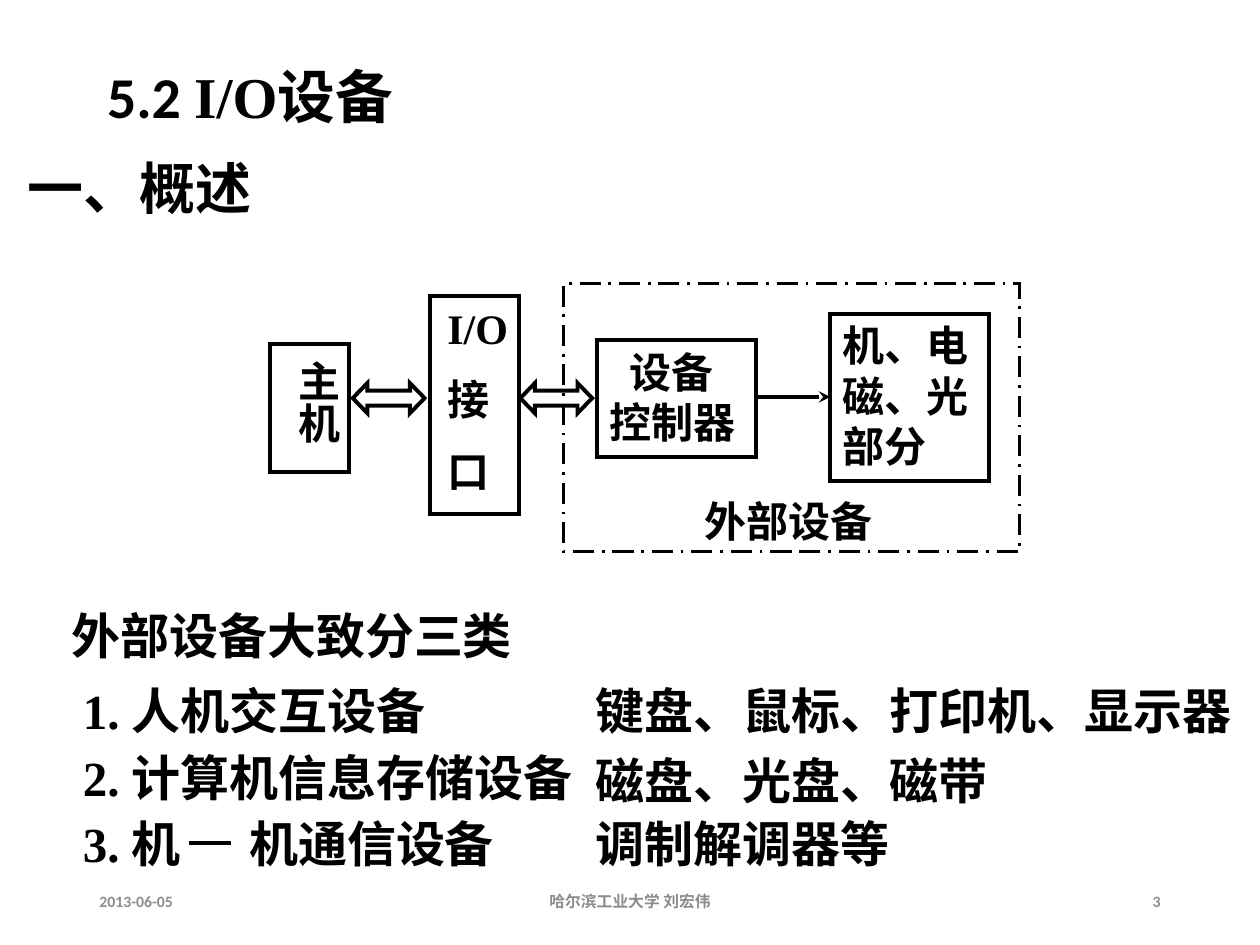
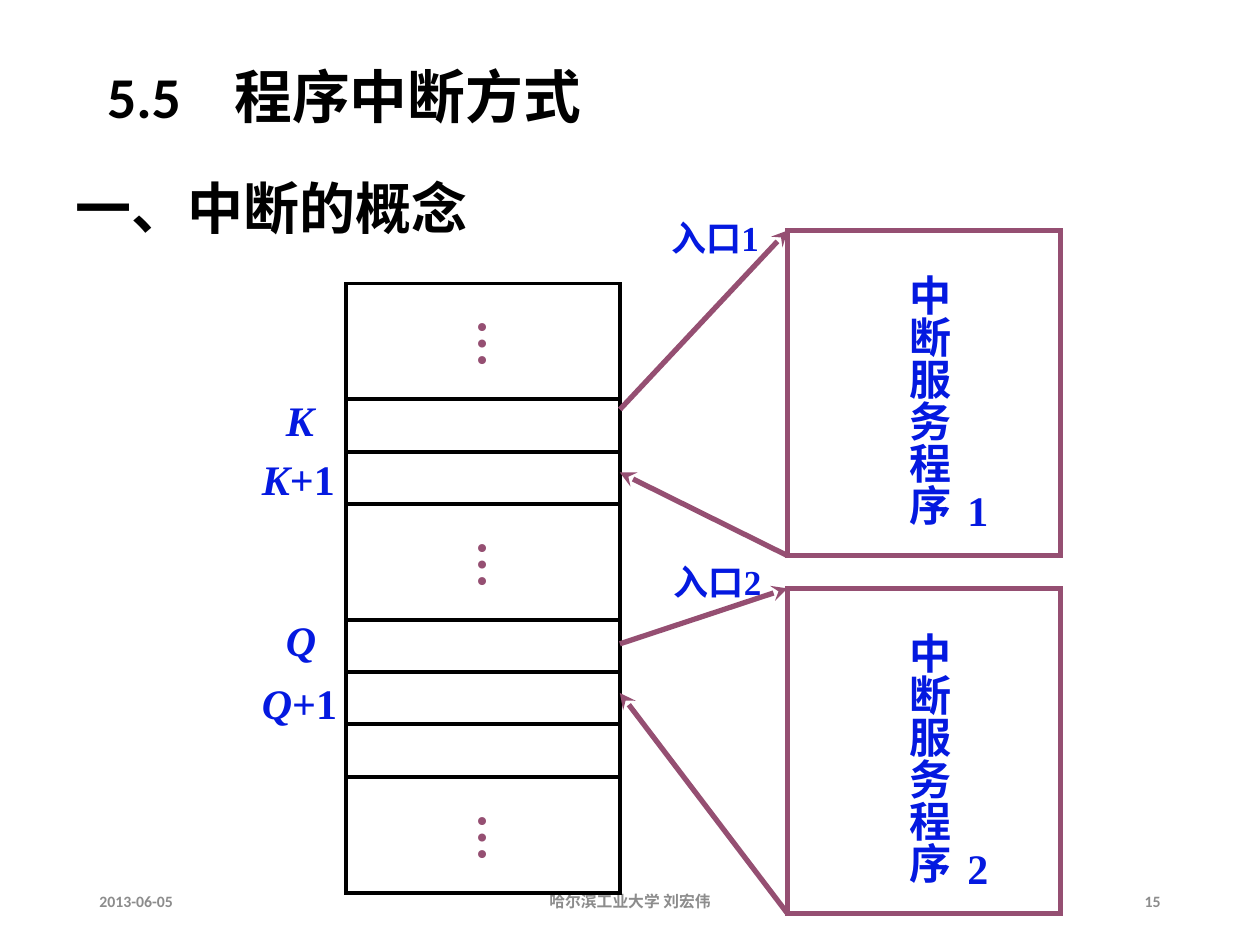
from pptx import Presentation
from pptx.dml.color import RGBColor
from pptx.enum.dml import MSO_LINE_DASH_STYLE as Dash
from pptx.enum.shapes import MSO_CONNECTOR as Connector, MSO_SHAPE as Shape
from pptx.enum.text import MSO_ANCHOR as Anchor, MSO_AUTO_SIZE as AutoSize, PP_ALIGN as Align
from pptx.oxml.ns import qn
from pptx.util import Inches, Pt
from lxml.etree import SubElement

BLACK = RGBColor(0x00, 0x00, 0x00)
GREY = RGBColor(0x8C, 0x8C, 0x8C)
BLUE = RGBColor(0x04, 0x19, 0xE0)
PLUM = RGBColor(0x95, 0x4F, 0x72)
SERIF = "Times New Roman"
SANS = "Calibri"
TITLE_ONLY = 5


def style_run(span, size, color=BLACK, font=SERIF, italic=False):
    """Give a run its bold face, size and colour."""
    span.font.name, span.font.size = font, Pt(size)
    span.font.bold, span.font.italic = True, italic
    span.font.color.rgb = color


def add_tab(para, offset):
    """Put one left tab stop in a paragraph."""
    stops = SubElement(para._p.get_or_add_pPr(), qn("a:tabLst"))
    SubElement(stops, qn("a:tab"), pos=str(Inches(offset)), algn="l")


def half_line_before(para):
    """Put half a line of space above a paragraph."""
    space = SubElement(para._p.get_or_add_pPr(), qn("a:spcBef"))
    SubElement(space, qn("a:spcPct"), val="50000")


def write(box, lines, size=24, color=BLACK, wrap=True, spaced=False, vertical=False):
    """Fill a box with left-aligned lines that start at its top."""
    frame = box.text_frame
    frame.text = "\n".join(lines)
    frame.word_wrap, frame.auto_size = wrap, AutoSize.SHAPE_TO_FIT_TEXT
    frame.vertical_anchor = Anchor.TOP
    if vertical:
        frame._txBody.bodyPr.set("vert", "eaVert")
    for para in frame.paragraphs:
        para.alignment = Align.LEFT
        if spaced:
            half_line_before(para)
        for span in para.runs:
            style_run(span, size, color)
    return frame


def add_text(page, left, top, width, height, text, **style):
    """Add a text box of one line and return its frame."""
    box = page.shapes.add_textbox(Inches(left), Inches(top), Inches(width), Inches(height))
    return write(box, [text], **style)


def add_outline(page, left, top, width, height, color=BLACK, weight=2.25, kind=Shape.RECTANGLE):
    """Add an unfilled preset shape with sharp corners."""
    shape = page.shapes.add_shape(kind, Inches(left), Inches(top), Inches(width), Inches(height))
    shape.shadow.inherit = False
    shape.fill.background()
    shape.line.color.rgb, shape.line.width = color, Pt(weight)
    SubElement(shape.line._get_or_add_ln(), qn("a:miter"), lim="800000")
    return shape


def add_line(page, start, end, color=BLACK, weight=2.25, arrow=True):
    """Add a straight line, with an arrowhead at its end if asked."""
    line = page.shapes.add_connector(Connector.STRAIGHT, *map(Inches, start + end))
    line.line.color.rgb, line.line.width = color, Pt(weight)
    SubElement(line._element.spPr, qn("a:effectLst"))
    if arrow:
        SubElement(line.line._get_or_add_ln(), qn("a:tailEnd"), type="stealth")


def add_footer(page, number):
    """Add the date, the lecturer and the page number."""
    for left, width, text, align in ((0.69, 2.25, "2013-06-05", Align.LEFT),
                                     (7.06, 2.25, number, Align.RIGHT),
                                     (3.31, 3.38, "哈尔滨工业大学 刘宏伟", Align.CENTER)):
        frame = add_text(page, left, 6.95, width, 0.4, text)
        frame.auto_size, frame.vertical_anchor = AutoSize.NONE, Anchor.MIDDLE
        para = frame.paragraphs[0]
        para.alignment = align
        style_run(para.runs[0], 9, GREY, SANS)


def add_page(deck, title_parts, number):
    """Add a page with its title, made of (text, font) parts, and its footer."""
    page = deck.slides.add_slide(deck.slide_layouts[TITLE_ONLY])
    title = page.shapes.title
    title.left, title.top, title.width, title.height = map(Inches, (0.75, 0.17, 8.5, 1.25))
    title.text_frame.vertical_anchor = Anchor.MIDDLE
    para = title.text_frame.paragraphs[0]
    para.alignment, para.line_spacing = Align.LEFT, 0.9
    for text, font in title_parts:
        span = para.add_run()
        span.text = text
        style_run(span, 33, font=font)
    add_footer(page, number)
    return page


def add_host_diagram(page, left, top):
    """Draw the chain from host to external device."""
    host = add_outline(page, left, top + 0.48, 0.63, 1.02)
    write(host, ["主机"], spaced=True, vertical=True).margin_top = Inches(0.13)
    controller = add_outline(page, left + 2.6, top + 0.45, 1.26, 0.93)
    first = write(controller, ["设备", "控制器"]).paragraphs[0]
    first._p.get_or_add_pPr().set("marL", str(Inches(0.16)))
    write(add_outline(page, left + 4.45, top + 0.24, 1.26, 1.33), ["机、电", "磁、光", "部分"])
    interface = add_outline(page, left + 1.27, top + 0.1, 0.71, 1.73)
    frame = write(interface, ["I/O", "接", "口"], spaced=True)
    frame.margin_left, frame.margin_right = Inches(0.14), Inches(0.06)
    device = add_outline(page, left + 2.33, top, 3.62, 2.13, weight=1.5)
    device.line.dash_style = Dash.LONG_DASH_DOT
    add_text(page, left + 3.35, top + 1.63, 2.28, 0.5, "外部设备", spaced=True)
    add_line(page, (left + 3.86, top + 0.9), (left + 4.45, top + 0.9))
    for offset in (0.66, 1.99):
        arrow = add_outline(page, left + offset, top + 0.79, 0.57, 0.24,
                            kind=Shape.LEFT_RIGHT_ARROW)
        arrow.adjustments[0], arrow.adjustments[1] = 0.5, 0.484


def add_device_classes(page, left, top):
    """List the three device classes with their examples."""
    rows = (("1. 人机交互设备", "键盘、鼠标、打印机、显示器", 0),
            ("2. 计算机信息存储设备", "磁盘、光盘、磁带", 0.03),
            ("3. 机\t机通信设备", "调制解调器等", 0))
    for index, (name, examples, drop) in enumerate(rows):
        row_top = top + 0.53 * index
        frame = add_text(page, left, row_top, 4.58, 0.57, name, size=28)
        if "\t" in name:
            add_tab(frame.paragraphs[0], 1.32)
            add_line(page, (left + 0.94, row_top + 0.28), (left + 1.27, row_top + 0.28),
                     arrow=False)
        add_text(page, left + 4.07, row_top + drop, 5.5, 0.57, examples, size=28)


def add_memory(page, left, top, width):
    """Stack the memory cells; tall cells hold an ellipsis."""
    tall, short = 0.92, 0.415
    for height in (tall, short, short, tall, short, short, short, tall):
        add_outline(page, left, top, width, height)
        if height == tall:
            add_text(page, left + 0.82, top + 0.19, 0.67, 0.49, "…", size=28, color=PLUM,
                     wrap=False, vertical=True)
        top += height


def add_address(page, left, top, width, letter, offset=""):
    """Label a cell with an italic letter and an upright offset."""
    frame = add_text(page, left, top, width, 0.5, letter, color=BLUE, wrap=False)
    para = frame.paragraphs[0]
    para.runs[0].font.italic = True
    if offset:
        span = para.add_run()
        span.text = offset
        style_run(span, 24, BLUE)


def add_service(page, left, top, number):
    """Draw the box of one interrupt service program."""
    add_outline(page, left, top, 2.17, 2.58, PLUM, 3)
    add_text(page, left + 0.76, top + 0.25, 0.61, 2.09, "中断服务程序", color=BLUE,
             wrap=False, vertical=True)
    add_text(page, left + 1.33, top + 1.97, 0.37, 0.5, number, color=BLUE, wrap=False)


def build_devices(deck):
    """Build the page on I/O devices."""
    page = add_page(deck, (("5.2 ", SANS), ("I/O", SERIF), ("设备", SANS)), "3")
    add_text(page, 0.12, 1.17, 2.58, 0.63, "一、概述", size=32)
    add_host_diagram(page, 2.14, 2.25)
    add_text(page, 0.47, 4.76, 4.83, 0.57, "外部设备大致分三类", size=28)
    add_device_classes(page, 0.56, 5.35)


def build_interrupts(deck):
    """Build the page on program interrupts."""
    page = add_page(deck, (("5.5\t程序中断方式", SANS),), "15")
    add_tab(page.shapes.title.text_frame.paragraphs[0], 1.01)
    add_text(page, 0.5, 1.33, 4.03, 0.63, "一、中断的概念", size=32)
    memory_left, memory_width, service_left = 2.75, 2.17, 6.25
    memory_right = memory_left + memory_width
    add_memory(page, memory_left, 2.25, memory_width)
    for letter, top, next_top in (("K", 3.08, 3.55), ("Q", 4.83, 5.33)):
        add_address(page, 2.17, top, 0.44, letter)
        add_address(page, 1.98, next_top, 0.82, letter, "+1")
    calls = (("1", 1.83, 3.25, 3.75, (5.23, 1.67, 0.9)),
             ("2", 4.67, 5.11, 5.5, (5.25, 4.4, 1.17)))
    for number, top, leave, resume, (left, label_top, width) in calls:
        add_service(page, service_left, top, number)
        add_line(page, (memory_right, leave), (service_left, top), PLUM, 3)
        add_line(page, (service_left, top + 2.58), (memory_right, resume), PLUM, 3)
        add_text(page, left, label_top, width, 0.43, "入口" + number, size=20, color=BLUE)


deck = Presentation()
deck.slide_width, deck.slide_height = Inches(10), Inches(7.5)
build_devices(deck)
build_interrupts(deck)
deck.save("out.pptx")
